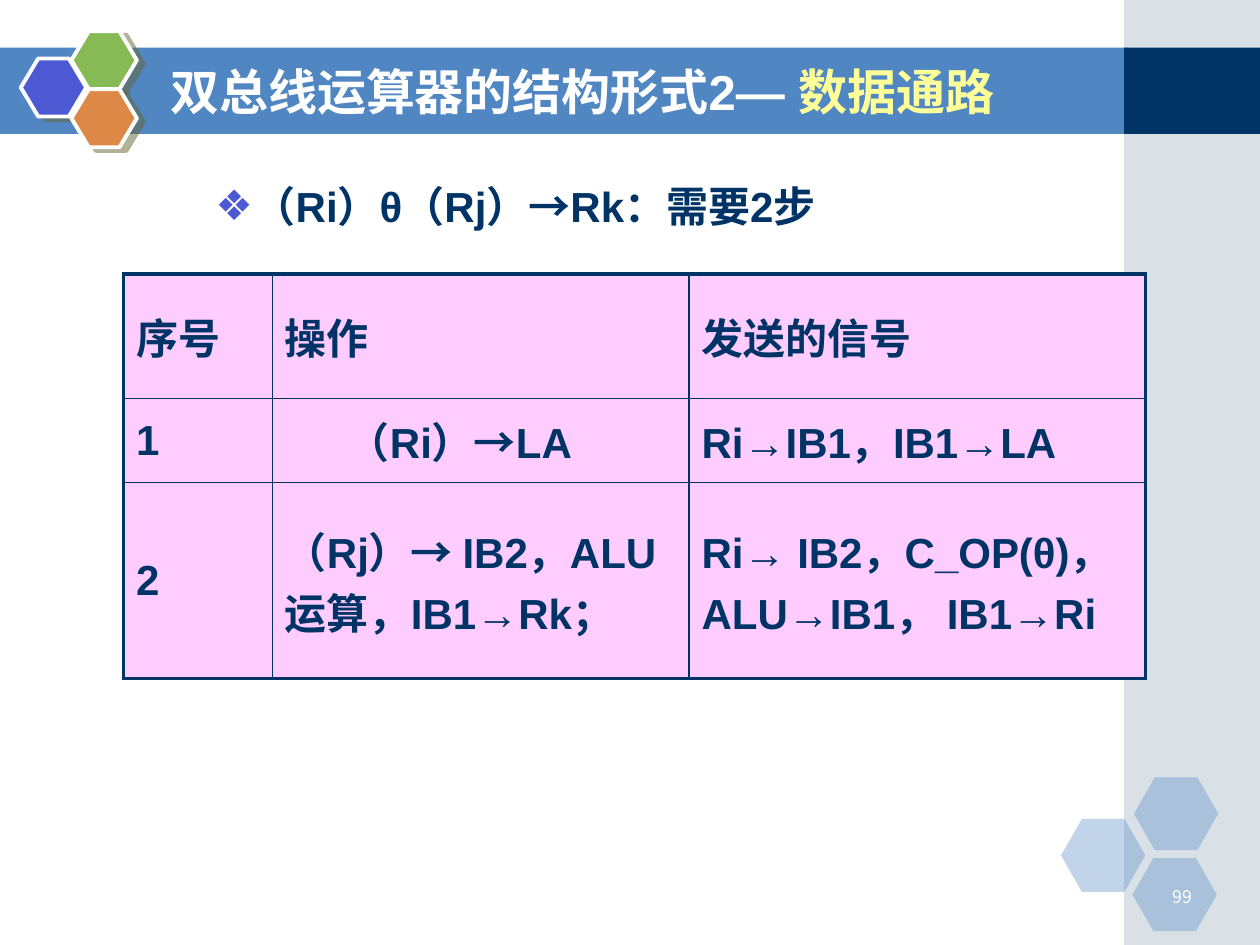
from dataclasses import dataclass

from lxml import etree
from pptx import Presentation
from pptx.dml.color import RGBColor
from pptx.enum.shapes import MSO_SHAPE
from pptx.enum.text import MSO_ANCHOR, MSO_AUTO_SIZE, PP_ALIGN
from pptx.oxml.ns import qn
from pptx.util import Cm, Pt

RECT, HEXAGON = MSO_SHAPE.RECTANGLE, MSO_SHAPE.HEXAGON
TOP, MIDDLE = MSO_ANCHOR.TOP, MSO_ANCHOR.MIDDLE
LEFT, RIGHT = PP_ALIGN.LEFT, PP_ALIGN.RIGHT
GROW, NO_FIT = MSO_AUTO_SIZE.SHAPE_TO_FIT_TEXT, MSO_AUTO_SIZE.NONE


@dataclass(frozen=True)
class Theme:
    navy: str = "003366"
    band: str = "5086C2"
    side: str = "A0B5C4"
    white: str = "FFFFFF"
    accent: str = "FFFF99"
    cell: str = "FFCCFF"
    violet: str = "4C59D2"
    green: str = "85BA54"
    orange: str = "DE8848"
    shadow: str = "666633"
    font: str = "Arial"
    cjk_font: str = "Noto Sans CJK SC"
    title_size: int = 28
    text_size: int = 24
    number_size: int = 10


THEME = Theme()


def add_xml(parent, tag, **attributes):
    return etree.SubElement(parent, qn(tag), {k: str(v) for k, v in attributes.items()})


def place(shape, box):
    shape.left, shape.top, shape.width, shape.height = (Cm(v) for v in box)


def add_filled(slide, preset, box, color, alpha=100):
    shape = slide.shapes.add_shape(preset, *(Cm(v) for v in box))
    shape.shadow.inherit = False
    shape.line.fill.background()
    shape.fill.solid()
    shape.fill.fore_color.rgb = RGBColor.from_string(color)
    if alpha < 100:
        color_node = shape._element.spPr.find(".//" + qn("a:srgbClr"))
        add_xml(color_node, "a:alpha", val=alpha * 1000)
    return shape


def add_run(paragraph, text, size, color, bold=True, font=THEME.font):
    run = paragraph.add_run()
    run.text = text
    run.font.size, run.font.bold, run.font.name = Pt(size), bold, font
    run.font.color.rgb = RGBColor.from_string(color)
    add_xml(run._r.get_or_add_rPr(), "a:ea", typeface=THEME.cjk_font)


def format_frame(frame, anchor, fit=NO_FIT):
    frame.word_wrap, frame.vertical_anchor, frame.auto_size = True, anchor, fit


def add_background(slide, box):
    """Side panel, title band and the dark block where they cross."""
    left, top, width, height = box
    side_width, band_top, band_height = 2.74, 0.96, 1.74
    side_left = left + width - side_width
    add_filled(slide, RECT, (left, top + band_top, 22.74, band_height), THEME.band)
    add_filled(slide, RECT, (side_left, top, side_width, height), THEME.side, 40)
    add_filled(slide, RECT, (side_left, top + band_top, side_width, band_height), THEME.navy)


def add_page_corner(slide, box):
    """Pale hexagons with the page number in the lowest one."""
    left, top = box
    for dx, dy in ((0, 0.84), (1.47, 0), (1.44, 1.63)):
        hexagon = add_filled(slide, HEXAGON, (left + dx, top + dy, 1.7, 1.47), THEME.band, 35)
        hexagon.adjustments[0] = 0.286
    number = slide.shapes.add_textbox(Cm(left + 1.62), Cm(top + 2.06), Cm(1.27), Cm(0.64))
    format_frame(number.text_frame, TOP)
    paragraph = number.text_frame.paragraphs[0]
    paragraph.alignment = RIGHT
    add_run(paragraph, "99", THEME.number_size, THEME.white, False, THEME.cjk_font)


def add_emblem(slide, box):
    """Three outlined hexagons at the head of the band."""
    left, top = box
    cells = ((0, 0.55, THEME.violet), (1.02, 0, THEME.green), (1.02, 1.17, THEME.orange))
    for dx, dy, color in cells:
        hexagon = add_filled(slide, HEXAGON, (left + dx, top + dy, 1.32, 1.17), color)
        hexagon.adjustments[0] = 0.3
        hexagon.line.color.rgb = RGBColor.from_string(THEME.white)
        hexagon.line.width = Pt(2.25)
        effects = hexagon._element.spPr.find(qn("a:effectLst"))
        shadow = add_xml(effects, "a:outerShdw", blurRad=0, dist=Pt(4.5), dir=27 * 60000,
                         algn="ctr", rotWithShape=0)
        add_xml(add_xml(shadow, "a:srgbClr", val=THEME.shadow), "a:alpha", val=50000)


def add_title(slide, box):
    title = slide.shapes.title
    place(title, box)
    format_frame(title.text_frame, MIDDLE)
    paragraph = title.text_frame.paragraphs[0]
    paragraph.alignment = LEFT
    add_run(paragraph, "双总线运算器的结构形式2— ", THEME.title_size, THEME.white)
    add_run(paragraph, "数据通路", THEME.title_size, THEME.accent)


def add_statement(slide, box):
    statement = slide.placeholders[1]
    place(statement, box)
    format_frame(statement.text_frame, TOP, GROW)
    paragraph = statement.text_frame.paragraphs[0]
    paragraph.space_before = Pt(0)
    bullet_indent = Cm(0.77)
    properties = paragraph._p.get_or_add_pPr()
    properties.set("marL", str(bullet_indent))
    properties.set("indent", str(-bullet_indent))
    add_xml(add_xml(properties, "a:buClr"), "a:srgbClr", val=THEME.violet)
    add_xml(properties, "a:buFont", typeface=THEME.font)
    add_xml(properties, "a:buChar", char="❖")
    add_run(paragraph, "（Ri）θ（Rj）→Rk：需要2步", THEME.text_size, THEME.navy)


def set_borders(cell, outer_sides):
    properties = cell._tc.get_or_add_tcPr()
    for side in "LRTB":
        width = Pt(2.25 if side in outer_sides else 1)
        border = add_xml(properties, "a:ln" + side, w=width)
        add_xml(add_xml(border, "a:solidFill"), "a:srgbClr", val=THEME.navy)


def add_steps_table(slide, box):
    steps = (
        ("序号", "操作", "发送的信号"),
        ("1", "（Ri）→LA", "Ri→IB1，IB1→LA"),
        ("2", "（Rj）→ IB2，ALU运算，IB1→Rk；", "Ri→ IB2，C_OP(θ)， ALU→IB1， IB1→Ri"),
    )
    # The last row holds three lines of text
    widths, heights = (3, 8.4, 9.2), (2.51, 1.7, 3.95)
    left, top = box
    table = slide.shapes.add_table(len(heights), len(widths), Cm(left), Cm(top),
                                   Cm(sum(widths)), Cm(sum(heights))).table
    table.first_row = table.horz_banding = False
    for column, width in zip(table.columns, widths):
        column.width = Cm(width)
    last_row, last_column = len(heights) - 1, len(widths) - 1
    for r, texts in enumerate(steps):
        table.rows[r].height = Cm(heights[r])
        for c, text in enumerate(texts):
            cell = table.cell(r, c)
            edges = (("L", c == 0), ("R", c == last_column), ("T", r == 0), ("B", r == last_row))
            set_borders(cell, [side for side, outer in edges if outer])
            cell.fill.solid()
            cell.fill.fore_color.rgb = RGBColor.from_string(THEME.cell)
            cell.vertical_anchor = MIDDLE
            add_run(cell.text_frame.paragraphs[0], text, THEME.text_size, THEME.navy)
    # The first operation is indented one level
    indented = table.cell(1, 1).text_frame.paragraphs[0]
    indented.level = 1
    indented._p.get_or_add_pPr().set("marL", str(Cm(1.27)))


def main():
    deck = Presentation()
    deck.slide_width, deck.slide_height = Cm(25.4), Cm(19.05)
    slide = deck.slides.add_slide(deck.slide_layouts[1])
    placeholders = [shape._element for shape in slide.placeholders]

    add_background(slide, (0, 0, 25.4, 19.05))
    add_page_corner(slide, (21.39, 15.67))
    add_emblem(slide, (0.42, 0.63))
    # Bring the placeholders in front of the background
    for element in placeholders:
        element.getparent().append(element)
    add_title(slide, (3.18, 1.05, 18.62, 1.57))
    add_statement(slide, (4.09, 3.51, 18.39, 1.27))
    add_steps_table(slide, (2.49, 5.52))
    deck.save("out.pptx")


if __name__ == "__main__":
    main()
